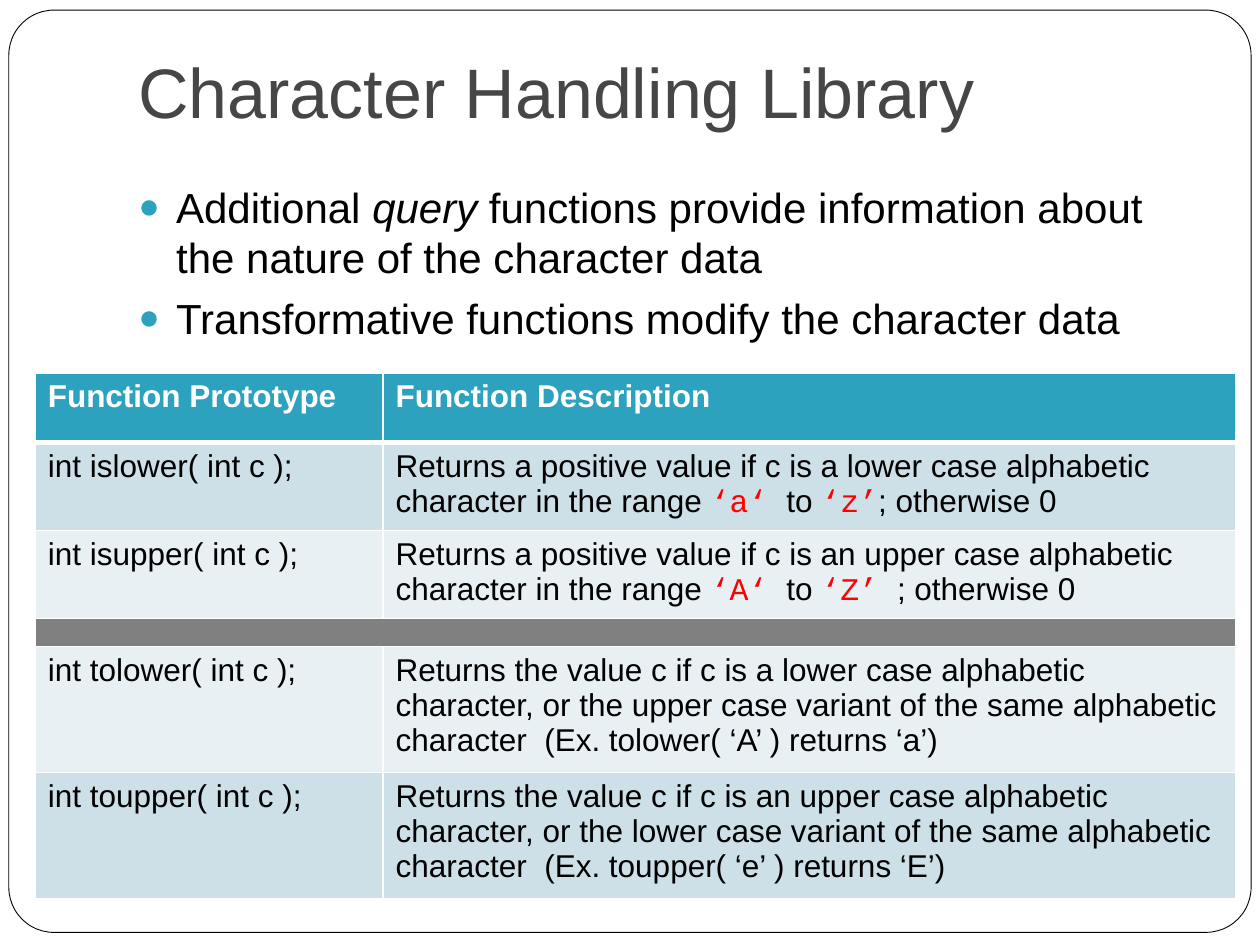
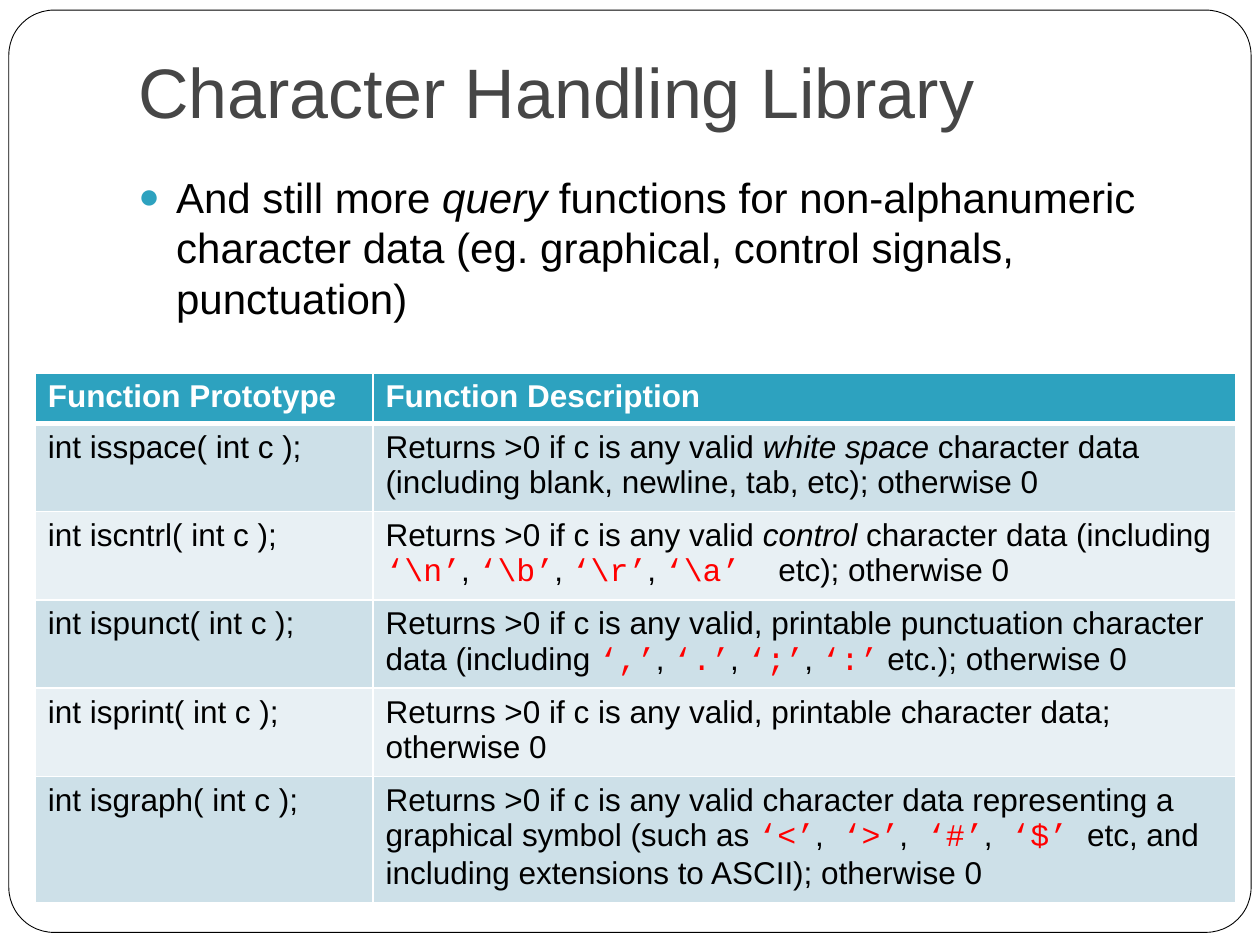
from lxml import etree
from pptx import Presentation
from pptx.dml.color import RGBColor
from pptx.enum.shapes import MSO_SHAPE
from pptx.enum.text import MSO_ANCHOR
from pptx.oxml.ns import qn
from pptx.util import Inches, Pt

ROUND_RECT = MSO_SHAPE.ROUNDED_RECTANGLE
BOTTOM, TOP = MSO_ANCHOR.BOTTOM, MSO_ANCHOR.TOP

COLORS = {
    "white": "FFFFFF", "black": "000000", "title": "464646", "accent": "2DA2BF",
    "band_dark": "CDE0E8", "band_light": "E8F0F4", "divider": "808080", "code": "FF0000",
}
FONT, CODE_FONT = "Arial", "Courier New"
TITLE = "Character Handling Library"
HEADER = ("Function Prototype", "Function Description")
TABLE_LEFT, TABLE_TOP, TABLE_WIDTH = 0.28, 2.96, 9.53

# In all texts *...* is italic and `...` is code. A row of None is a divider.
SLIDES = [
    {
        "body_top": 1.39,
        "bullets": [
            "Additional *query* functions provide information about the nature "
            "of the character data",
            "Transformative functions modify the character data",
        ],
        "first_col": 2.76,
        "heights": [0.55, 0.68, 0.68, 0.22, 0.94, 0.94],
        "rows": [
            ("int islower( int c );",
             "Returns a positive value if c is a lower case alphabetic character "
             "in the range `‘a‘ `to `‘z’`; otherwise 0"),
            ("int isupper( int c );",
             "Returns a positive value if c is an upper case alphabetic character "
             "in the range `‘A‘ `to `‘Z’ `; otherwise 0"),
            None,
            ("int tolower( int c );",
             "Returns the value c if c is a lower case alphabetic character, or the "
             "upper case variant of the same alphabetic character  "
             "(Ex. tolower( ‘A’ ) returns ‘a’)"),
            ("int toupper( int c );",
             "Returns the value c if c is an upper case alphabetic character, or the "
             "lower case variant of the same alphabetic character  "
             "(Ex. toupper( ‘e’ ) returns ‘E’)"),
        ],
    },
    {
        "body_top": 1.31,
        "bullets": [
            "And still more *query* functions for non-alphanumeric character data "
            "(eg. graphical, control signals, punctuation)",
        ],
        "first_col": 2.68,
        "heights": [0.38, 0.66, 0.68, 0.68, 0.66, 0.96],
        "rows": [
            ("int isspace( int c );",
             "Returns >0 if c is any valid *white space* character data "
             "(including blank, newline, tab, etc); otherwise 0"),
            ("int iscntrl( int c );",
             "Returns >0 if c is any valid *control* character data (including "
             r"`‘\n’`, `‘\b’`, `‘\r’`, `‘\a’  `etc); otherwise 0"),
            ("int ispunct( int c );",
             "Returns >0 if c is any valid, printable punctuation character data "
             "(including `‘,’`, `‘.’`, `‘;’`, `‘:’` etc.); otherwise 0"),
            ("int isprint( int c );",
             "Returns >0 if c is any valid, printable character data; otherwise 0"),
            ("int isgraph( int c );",
             "Returns >0 if c is any valid character data representing a graphical "
             "symbol (such as `‘<’`,` ‘>’`,` ‘#’`,` ‘$’ `etc, and including "
             "extensions to ASCII); otherwise 0"),
        ],
    },
]


def rgb(name):
    """Return the named palette colour."""
    return RGBColor.from_string(COLORS[name])


def write(p, text, size, color="black", bold=False):
    """Add marked-up text to a paragraph as formatted runs."""
    for i, chunk in enumerate(text.split("`")):
        is_code = i % 2 == 1
        for j, part in enumerate(chunk.split("*")):
            if not part:
                continue
            r = p.add_run()
            r.text = part
            r.font.size, r.font.bold, r.font.italic = Pt(size), bold, j % 2 == 1
            r.font.name = CODE_FONT if is_code else FONT
            r.font.color.rgb = rgb("code" if is_code else color)


def add_text_box(s, left, top, width, height, anchor):
    """Add a wrapping text box and return its text frame."""
    tf = s.shapes.add_textbox(*map(Inches, (left, top, width, height))).text_frame
    tf.word_wrap, tf.vertical_anchor = True, anchor
    return tf


def add_frame(s):
    """Draw the rounded border shared by all slides."""
    sp = s.shapes.add_shape(ROUND_RECT, *map(Inches, (0.07, 0.08, 9.86, 7.32)))
    sp.adjustments[0] = 0.049
    sp.shadow.inherit = False
    sp.fill.solid()
    sp.fill.fore_color.rgb = rgb("white")
    sp.line.color.rgb = rgb("black")
    sp.line.width = Pt(0.5)


def add_title(s):
    """Write the slide title."""
    tf = add_text_box(s, 1, 0.3, 8.5, 0.85, BOTTOM)
    tf.margin_bottom = Inches(0.1)
    write(tf.paragraphs[0], TITLE, 40, "title")


def add_bullets(s, top, bullets):
    """Write the bulleted introduction above the table."""
    tf = add_text_box(s, 1, top, 8.5, TABLE_TOP - top, TOP)
    for i, text in enumerate(bullets):
        p = tf.paragraphs[0] if i == 0 else tf.add_paragraph()
        p.space_before = Pt(5.8)
        pPr = p._p.get_or_add_pPr()
        pPr.set("marL", str(Inches(0.3)))
        pPr.set("indent", str(-Inches(0.3)))
        color = etree.SubElement(pPr, qn("a:buClr"))
        etree.SubElement(color, qn("a:srgbClr"), val=COLORS["accent"])
        etree.SubElement(pPr, qn("a:buSzPct"), val="85000")
        etree.SubElement(pPr, qn("a:buFont"), typeface=FONT)
        etree.SubElement(pPr, qn("a:buChar"), char="●")
        write(p, text, 24)


def style_cell(cell, fill, bottom=1):
    """Give a cell white borders and a solid fill."""
    tcPr = cell._tc.get_or_add_tcPr()
    for side, width in (("L", 1), ("R", 1), ("T", 1), ("B", bottom)):
        ln = etree.SubElement(tcPr, qn(f"a:ln{side}"), w=str(Pt(width)))
        solid = etree.SubElement(ln, qn("a:solidFill"))
        etree.SubElement(solid, qn("a:srgbClr"), val=COLORS["white"])
    cell.fill.solid()
    cell.fill.fore_color.rgb = rgb(fill)


def add_divider(table, i):
    """Turn row i into a thin band across all columns."""
    left, right = table.cell(i, 0), table.cell(i, 1)
    left.merge(right)
    for cell in (left, right):
        style_cell(cell, "divider")
        cell.margin_top = cell.margin_bottom = 0
        etree.SubElement(cell.text_frame.paragraphs[0]._p, qn("a:endParaRPr"), sz="800")


def add_function_table(s, first_col, heights, rows):
    """Add the table of prototypes and descriptions."""
    rows = [HEADER, *rows]
    box = (TABLE_LEFT, TABLE_TOP, TABLE_WIDTH, sum(heights))
    table = s.shapes.add_table(len(rows), 2, *map(Inches, box)).table
    table.columns[0].width = Inches(first_col)
    table.columns[1].width = Inches(TABLE_WIDTH - first_col)
    for i, (row, height) in enumerate(zip(rows, heights)):
        table.rows[i].height = Inches(height)
        if row is None:
            add_divider(table, i)
            continue
        header = i == 0
        fill = "accent" if header else "band_dark" if i % 2 else "band_light"
        for j, text in enumerate(row):
            cell = table.cell(i, j)
            style_cell(cell, fill, bottom=3 if header else 1)
            write(cell.text_frame.paragraphs[0], text, 18,
                  "white" if header else "black", header)


prs = Presentation()
prs.slide_width, prs.slide_height = Inches(10), Inches(7.5)
for content in SLIDES:
    s = prs.slides.add_slide(prs.slide_layouts[6])
    add_frame(s)
    add_title(s)
    add_bullets(s, content["body_top"], content["bullets"])
    add_function_table(s, content["first_col"], content["heights"], content["rows"])
prs.save("out.pptx")
